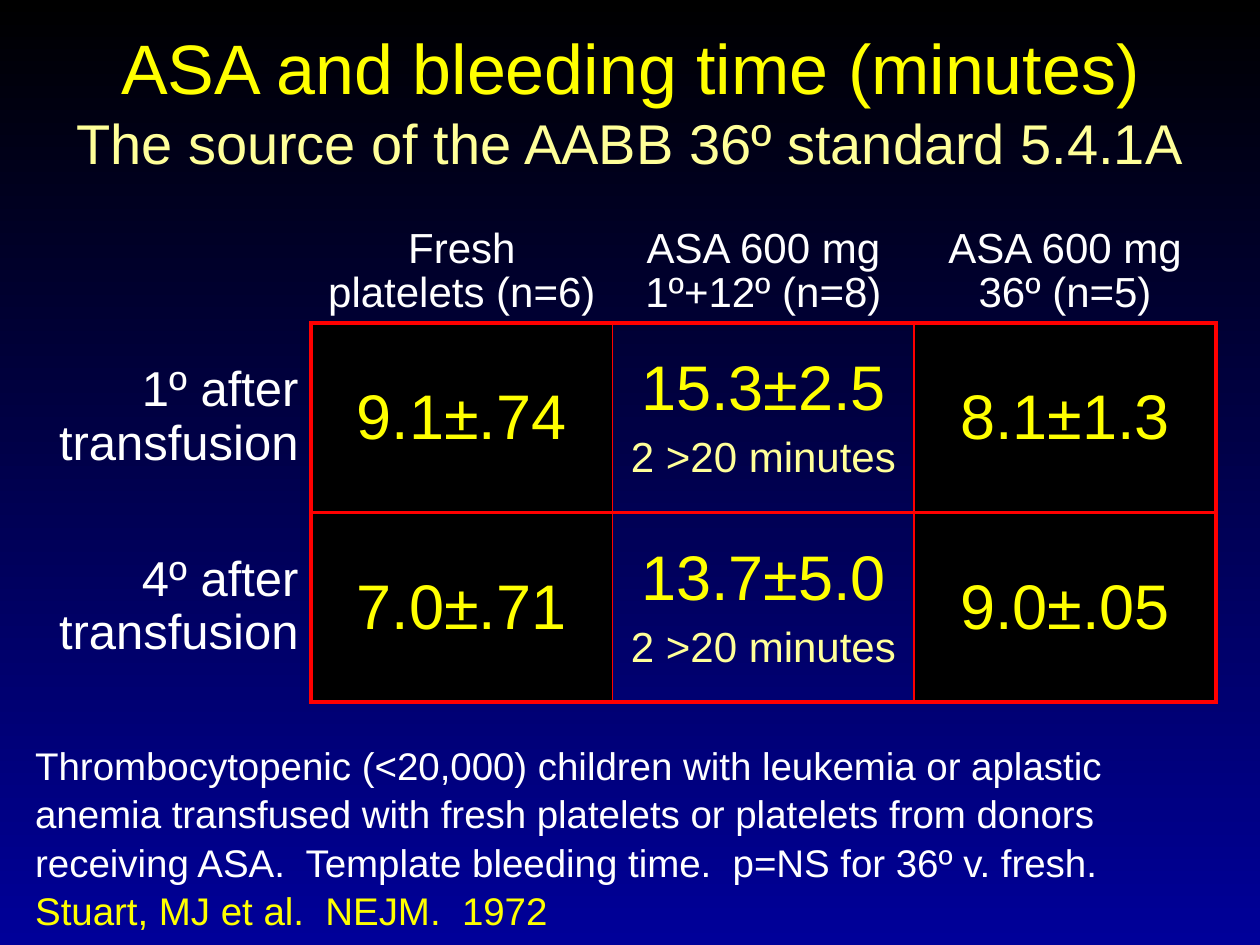
from lxml.etree import SubElement
from pptx import Presentation
from pptx.dml.color import RGBColor
from pptx.enum.text import MSO_ANCHOR as Anchor, PP_ALIGN as Align
from pptx.oxml.ns import qn
from pptx.util import Cm, Pt

BLACK = RGBColor(0x00, 0x00, 0x00)
NAVY = RGBColor(0x00, 0x00, 0x99)
WHITE = RGBColor(0xFF, 0xFF, 0xFF)
YELLOW = RGBColor(0xFF, 0xFF, 0x00)
PALE_YELLOW = RGBColor(0xFF, 0xFF, 0x99)
RED = RGBColor(0xFF, 0x00, 0x00)

THICK, THIN = Pt(2.2), Pt(1.1)
PLAIN_TABLE = "{2D5ABB26-0587-4C30-8999-92F81FD0307C}"

# Text formats: paragraph values and font values
HEADING = ({"alignment": Align.CENTER, "line_spacing": 0.95}, {"size": Pt(24)}, WHITE)
ROW_LABEL = ({"alignment": Align.RIGHT, "line_spacing": 0.98}, {"size": Pt(28)}, WHITE)
RESULT = ({"alignment": Align.CENTER}, {"size": Pt(36)}, YELLOW)
REMARK = ({"alignment": Align.CENTER, "space_before": Pt(6)}, {"size": Pt(24)}, PALE_YELLOW)
NOTE = ({"alignment": Align.LEFT, "line_spacing": 1.05}, {"size": Pt(22)}, WHITE)
CITATION = (NOTE[0], NOTE[1], YELLOW)

HEADINGS = [["Fresh", "platelets (n=6)"], ["ASA 600 mg 1º+12º (n=8)"], ["ASA 600 mg 36º (n=5)"]]
RESULTS = [
    ("1º after transfusion", [["9.1±.74"], ["15.3±2.5", "2 >20 minutes"], ["8.1±1.3"]]),
    ("4º after transfusion", [["7.0±.71"], ["13.7±5.0", "2 >20 minutes"], ["9.0±.05"]]),
]


def set_values(target, values):
    for name, value in values.items():
        setattr(target, name, value)


def style_font(font, values, color):
    set_values(font, {"name": "Arial", "bold": False, **values})
    font.color.rgb = color


def write(frame, lines):
    """Fill a text frame with (text, format) paragraphs."""
    for index, (text, (layout, font, color)) in enumerate(lines):
        paragraph = frame.paragraphs[0] if index == 0 else frame.add_paragraph()
        set_values(paragraph, layout)
        run = paragraph.add_run()
        run.text = text
        style_font(run.font, font, color)


def set_borders(cell, widths):
    properties = cell._tc.get_or_add_tcPr()
    for index, (side, width) in enumerate(widths.items()):
        line = SubElement(properties, qn(f"a:{side}"), w=str(int(width)))
        fill = SubElement(line, qn("a:solidFill"))
        SubElement(fill, qn("a:srgbClr"), val=str(RED))
        properties.remove(line)
        properties.insert(index, line)  # borders come before the cell fill


def paint_background(slide):
    fill = slide.background.fill
    fill.gradient()
    fill.gradient_angle = 270
    for stop, color in zip(fill.gradient_stops, (BLACK, NAVY)):
        stop.color.rgb = color


def add_title(slide, left, top, width, height):
    title = slide.shapes.title
    set_values(title, {"left": left, "top": top, "width": width, "height": height})
    frame = title.text_frame
    set_values(frame, {"word_wrap": True, "vertical_anchor": Anchor.MIDDLE})
    paragraph = frame.paragraphs[0]
    paragraph.alignment = Align.CENTER
    main = paragraph.add_run()
    main.text = "ASA and bleeding time (minutes)"
    style_font(main.font, {"size": Pt(40)}, YELLOW)
    paragraph.add_line_break()
    subtitle = paragraph.add_run()
    subtitle.text = "The source of the AABB 36º standard 5.4.1A"
    style_font(subtitle.font, {"size": Pt(32)}, PALE_YELLOW)


def add_results(slide, left, top, width, height):
    label_width, heading_height = Cm(5.38), Cm(2.27)
    column_width = (width - label_width) // len(HEADINGS)
    row_height = (height - heading_height) // len(RESULTS)
    frame = slide.shapes.add_table(
        len(RESULTS) + 1, len(HEADINGS) + 1, left, top, width, height)
    table = frame.table
    set_values(table, {"first_row": False, "horz_banding": False})
    table._tbl.tblPr.find(qn("a:tableStyleId")).text = PLAIN_TABLE
    for index, column in enumerate(table.columns):
        column.width = column_width if index else label_width
    for index, row in enumerate(table.rows):
        row.height = row_height if index else heading_height
    for cell in table.iter_cells():
        cell.fill.background()
        cell.vertical_anchor = Anchor.MIDDLE

    # Column headings
    for column, lines in enumerate(HEADINGS, 1):
        cell = table.cell(0, column)
        cell.vertical_anchor = Anchor.BOTTOM
        write(cell.text_frame, [(line, HEADING) for line in lines])

    # Row labels and measured values
    last = len(HEADINGS)
    for row, (label, values) in enumerate(RESULTS, 1):
        label_cell = table.cell(row, 0)
        write(label_cell.text_frame, [(label, ROW_LABEL)])
        set_borders(label_cell, {"lnR": THICK})
        for column, lines in enumerate(values, 1):
            cell = table.cell(row, column)
            write(cell.text_frame, zip(lines, (RESULT, REMARK)))
            if len(lines) == 1:
                cell.fill.solid()
                cell.fill.fore_color.rgb = BLACK
            set_borders(cell, {
                "lnL": THICK if column == 1 else THIN,
                "lnR": THICK if column == last else THIN,
                "lnT": THICK,
                "lnB": THICK,
            })


def add_note(slide, left, top, width, height):
    frame = slide.shapes.add_textbox(left, top, width, height).text_frame
    frame.word_wrap = True
    write(frame, [
        ("Thrombocytopenic (<20,000) children with leukemia or aplastic anemia "
         "transfused with fresh platelets or platelets from donors receiving ASA.  "
         "Template bleeding time.  p=NS for 36º v. fresh.", NOTE),
        ("Stuart, MJ et al.  NEJM.  1972", CITATION),
    ])


def main():
    deck = Presentation()
    set_values(deck, {"slide_width": Cm(25.4), "slide_height": Cm(19.05)})
    slide = deck.slides.add_slide(deck.slide_layouts[5])
    paint_background(slide)
    add_title(slide, Cm(0.64), Cm(0.43), Cm(24.13), Cm(3.18))
    add_results(slide, Cm(0.89), Cm(4.24), Cm(23.62), Cm(9.91))
    add_note(slide, Cm(0.46), Cm(14.78), Cm(24.46), Cm(3.99))
    deck.save("out.pptx")


if __name__ == "__main__":
    main()
